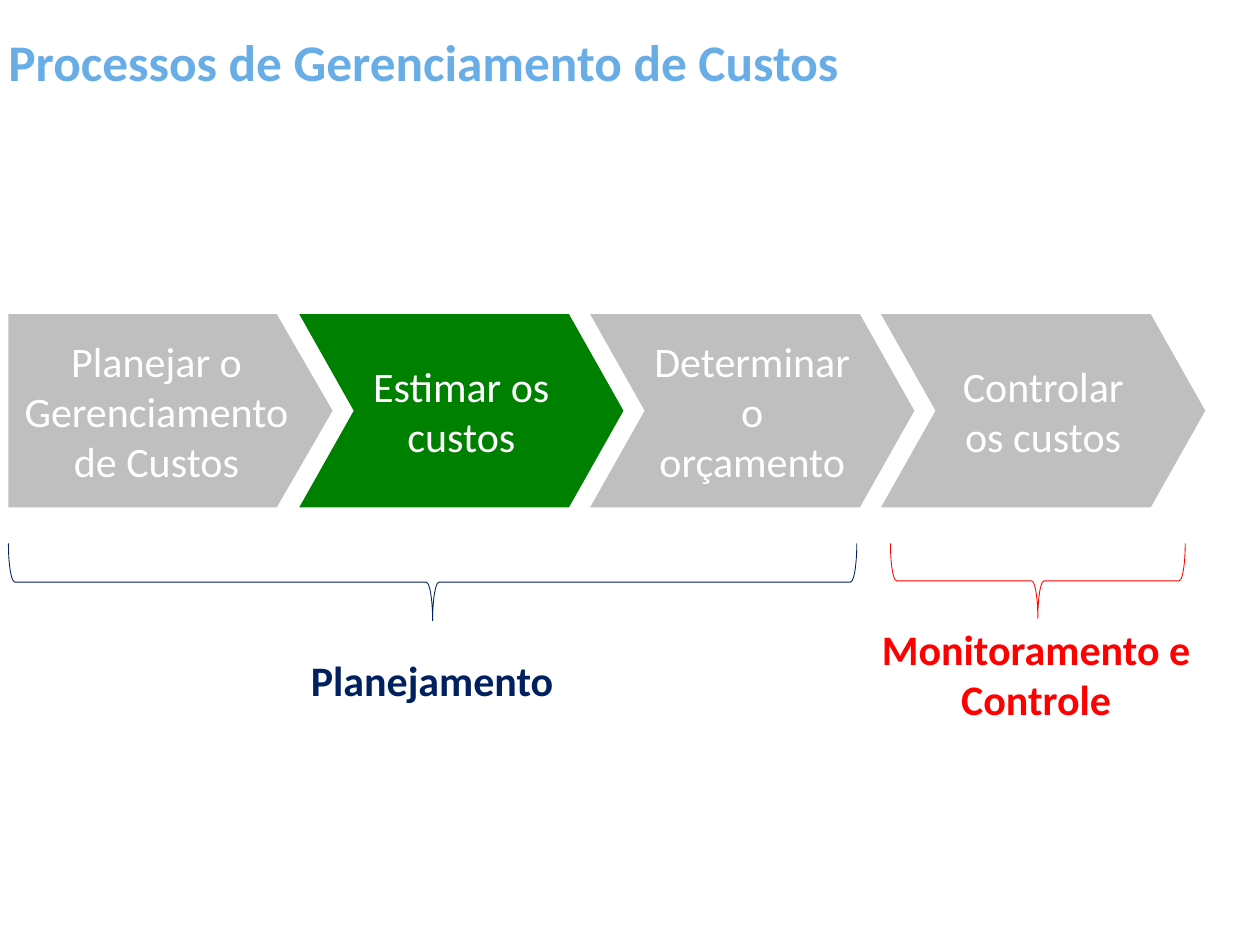
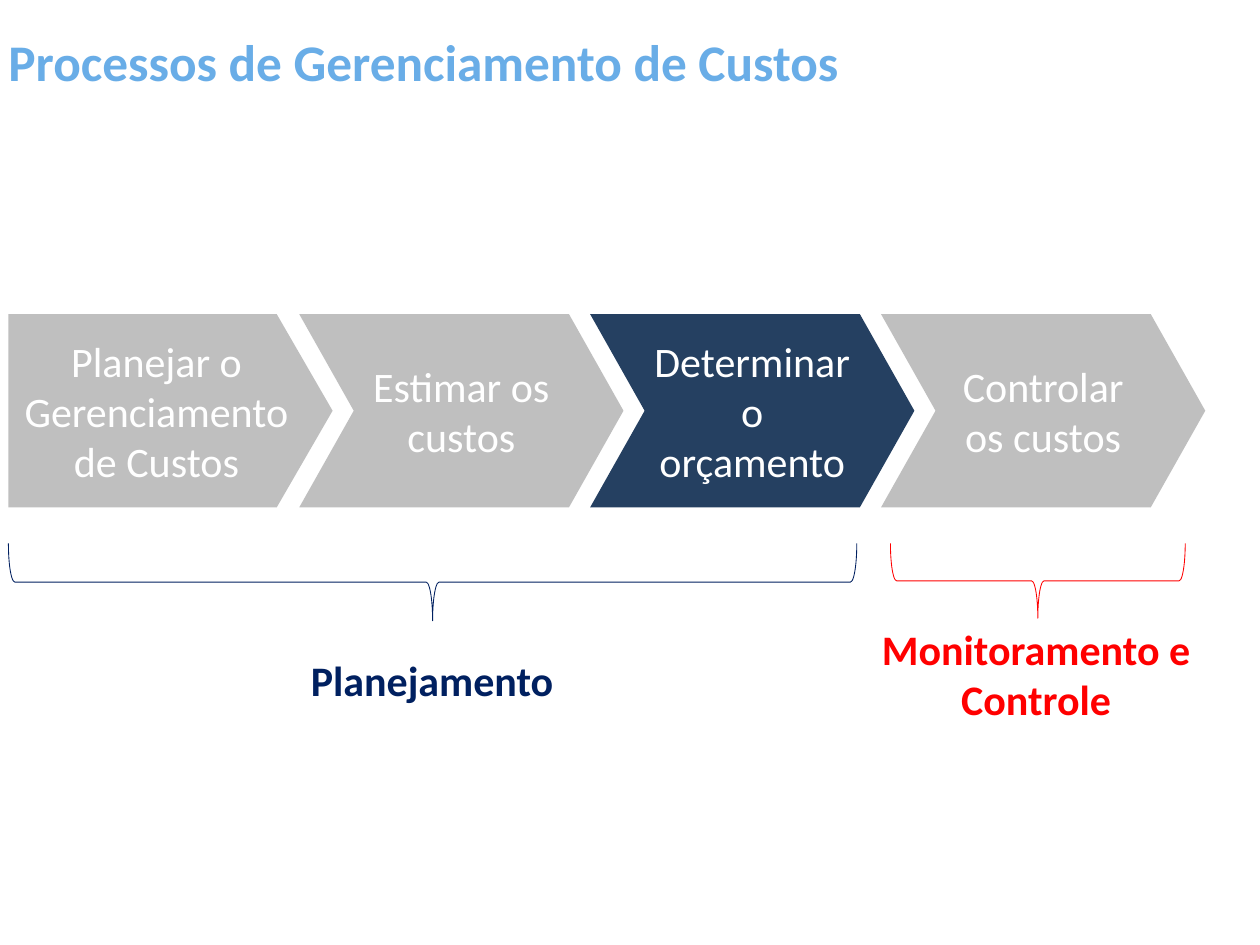
from pptx import Presentation
from pptx.dml.color import RGBColor
from pptx.enum import shapes, text
from pptx.util import Inches, Pt

COLORS = {"title": "69ADE7", "idle": "BFBFBF", "green": "008000", "blue": "254061",
          "white": "FFFFFF", "navy": "002060", "red": "FF0000"}
FONT = "Calibri"
TITLE = "Processos de Gerenciamento de Custos"
STEPS = ["Planejar o Gerenciamento de Custos", "Estimar os custos",
         "Determinar o orçamento", "Controlar os custos"]
# Highlighted step and its colour, one entry per slide
HIGHLIGHTS = [(1, "green"), (2, "blue")]
# Label, colour, brace (left, width, depth), label box (left, top, width, height)
GROUPS = [
    ("Planejamento", "navy", (0.1, 10.1, 0.92), (3.35, 7.74, 3.59, 0.71)),
    ("Monitoramento e Controle", "red", (10.6, 3.51, 0.89), (10.32, 7.37, 4.03, 1.31)),
]
STEP_LEFT, STEP_TOP, STEP_W, STEP_H, STEP_PITCH = 0.1, 3.74, 3.86, 2.3, 3.463
BRACE_TOP = 6.47


def rgb(name):
    return RGBColor.from_string(COLORS[name])


def write(sp, words, color, size=36, bold=False, align=text.PP_ALIGN.CENTER,
          anchor=text.MSO_ANCHOR.MIDDLE):
    tf = sp.text_frame
    tf.word_wrap = True
    tf.auto_size = text.MSO_AUTO_SIZE.NONE
    tf.vertical_anchor = anchor
    p = tf.paragraphs[0]
    p.alignment = align
    r = p.add_run()
    r.text = words
    r.font.name, r.font.size, r.font.bold = FONT, Pt(size), bold
    r.font.color.rgb = rgb(color)


def add_title(s):
    sp = s.shapes.title
    sp.left, sp.top, sp.width, sp.height = map(Inches, (0, 0.31, 10.49, 0.83))
    write(sp, TITLE, "title", 44, True, text.PP_ALIGN.LEFT)


def add_step(s, i, color):
    first = i == 0
    kind = shapes.MSO_SHAPE.PENTAGON if first else shapes.MSO_SHAPE.CHEVRON
    sp = s.shapes.add_shape(kind, Inches(STEP_LEFT + i * STEP_PITCH), Inches(STEP_TOP),
                            Inches(STEP_W), Inches(STEP_H))
    sp.adjustments[0] = 0.289 if first else 0.282
    sp.shadow.inherit = False
    sp.fill.solid()
    sp.fill.fore_color.rgb = rgb(color)
    sp.line.fill.background()
    write(sp, STEPS[i], "white")


def add_brace(s, color, left, width, depth):
    """Draw a brace pointing down; its box is upright before the quarter turn."""
    x = left + (width - depth) / 2
    y = BRACE_TOP + (depth - width) / 2
    sp = s.shapes.add_shape(shapes.MSO_SHAPE.RIGHT_BRACE, Inches(x), Inches(y),
                            Inches(depth), Inches(width))
    sp.rotation = 90
    sp.shadow.inherit = False
    sp.fill.background()
    sp.line.color.rgb = rgb(color)
    sp.line.width = Pt(0.75)


def add_label(s, words, color, box):
    sp = s.shapes.add_textbox(*map(Inches, box))
    write(sp, words, color, bold=True, anchor=text.MSO_ANCHOR.TOP)
    sp.text_frame.auto_size = text.MSO_AUTO_SIZE.SHAPE_TO_FIT_TEXT


def main():
    prs = Presentation()
    prs.slide_width, prs.slide_height = Inches(15), Inches(11.25)
    for active, accent in HIGHLIGHTS:
        s = prs.slides.add_slide(prs.slide_layouts[5])
        add_title(s)
        for i in range(len(STEPS)):
            add_step(s, i, accent if i == active else "idle")
        for _, color, brace, _ in GROUPS:
            add_brace(s, color, *brace)
        for words, color, _, box in GROUPS:
            add_label(s, words, color, box)
    prs.save("out.pptx")


if __name__ == "__main__":
    main()
